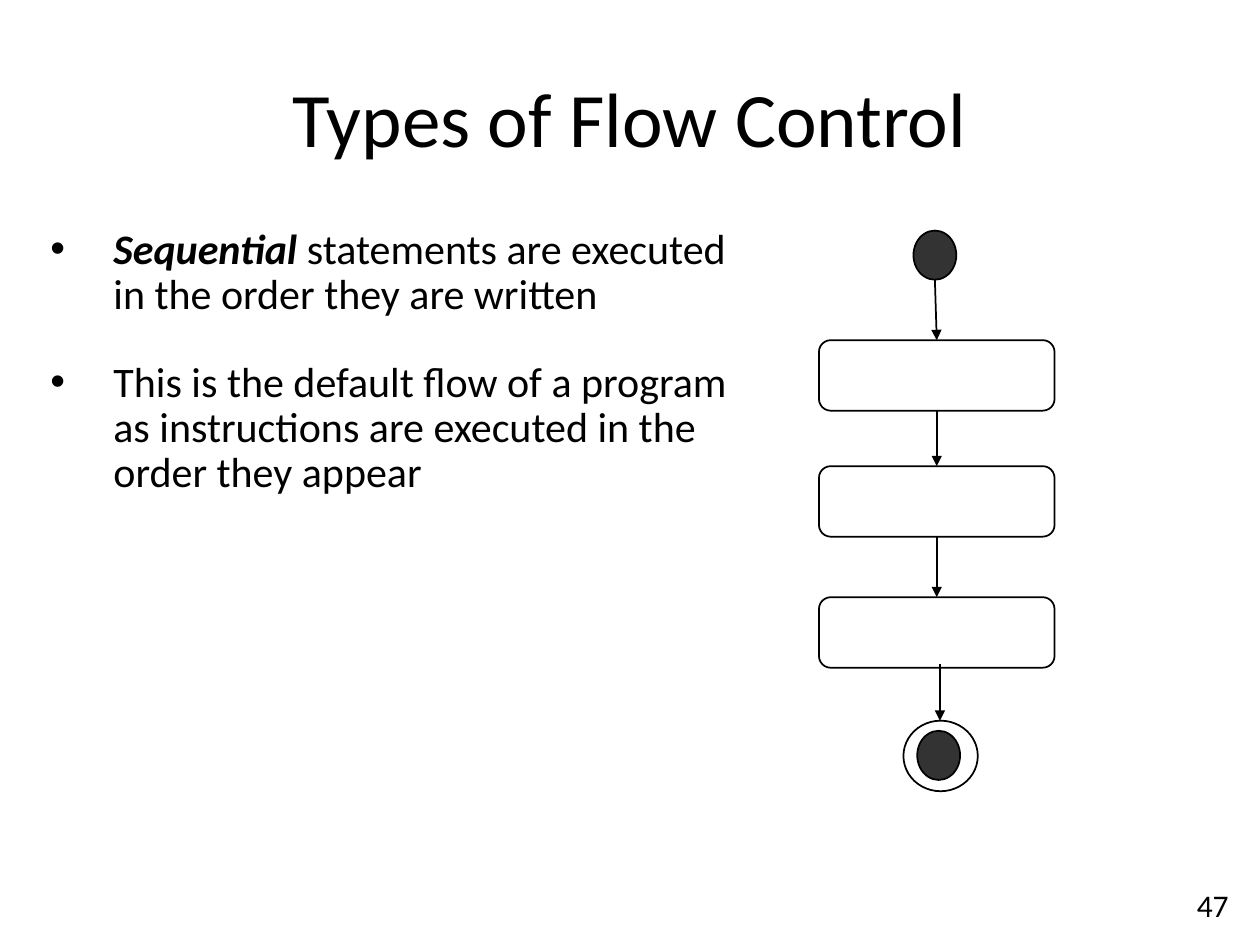
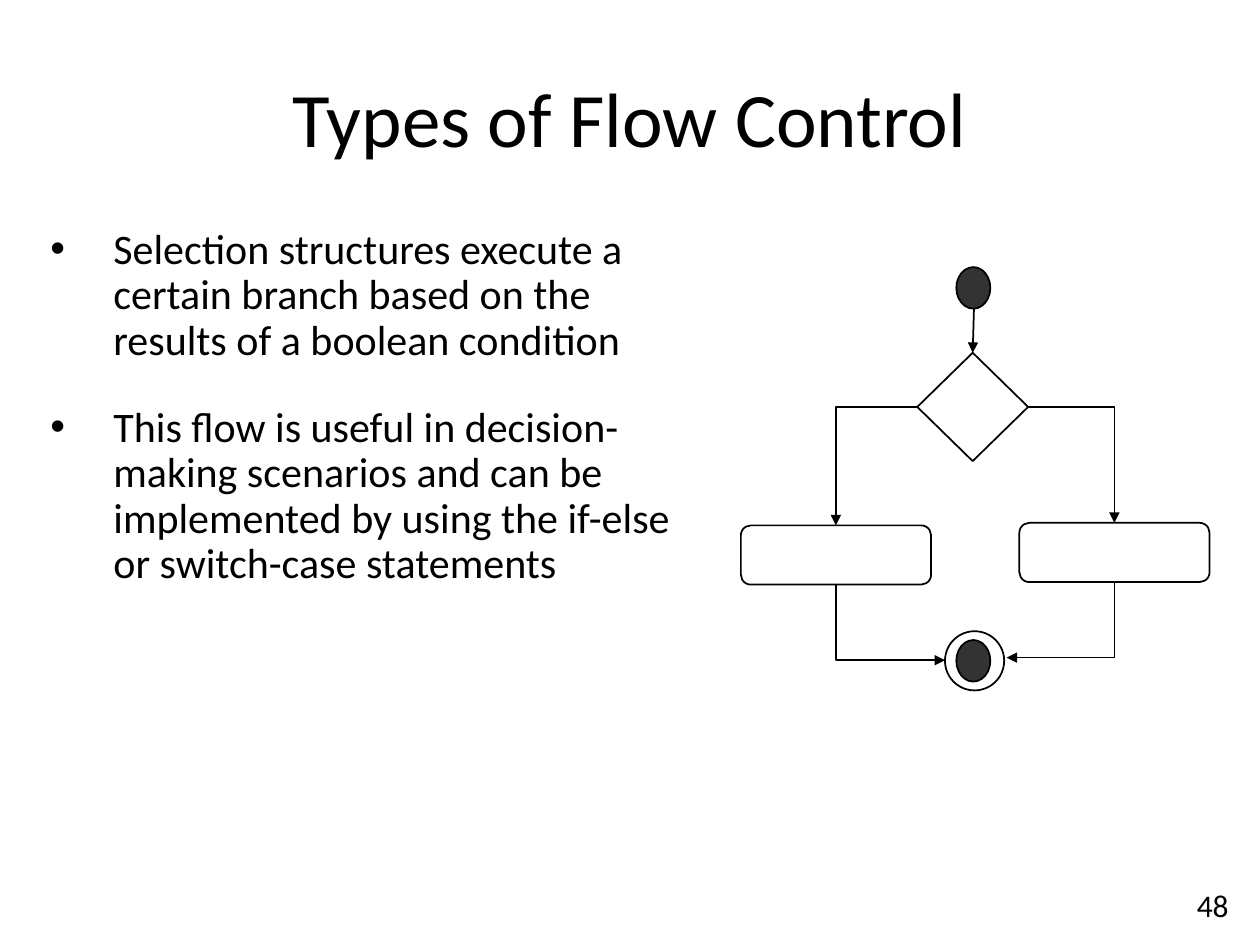
from dataclasses import dataclass
from itertools import pairwise

from lxml.etree import SubElement
from pptx import Presentation
from pptx.dml.color import RGBColor
from pptx.enum.shapes import MSO_CONNECTOR, MSO_SHAPE
from pptx.enum.text import MSO_ANCHOR, MSO_AUTO_SIZE, PP_ALIGN
from pptx.oxml.ns import qn
from pptx.util import Inches, Pt


@dataclass(frozen=True)
class Theme:
    """Colours, font and sizes shared by the slides."""
    font: str = "Calibri"
    ink: RGBColor = RGBColor(0x00, 0x00, 0x00)
    dot: RGBColor = RGBColor(0x33, 0x33, 0x33)
    title_size: int = 44
    body_size: int = 24
    number_size: int = 18
    line_width: int = 1


THEME = Theme()


def add_text(para, text, size=THEME.body_size, bold=False, italic=False, align=None):
    """Append a formatted span to a paragraph."""
    span = para.add_run()
    span.text = text
    span.font.name = THEME.font
    span.font.size = Pt(size)
    span.font.bold = bold
    span.font.italic = italic
    span.font.color.rgb = THEME.ink
    if align is not None:
        para.alignment = align


def place(shape, left, top, width, height):
    """Move and size a shape, in inches."""
    shape.left, shape.top = Inches(left), Inches(top)
    shape.width, shape.height = Inches(width), Inches(height)


def add_bullets(body, items):
    """Fill the body with bullets, each a list of (text, format) spans."""
    frame = body.text_frame
    frame.auto_size = MSO_AUTO_SIZE.NONE
    for index, spans in enumerate(items):
        para = frame.add_paragraph() if index else frame.paragraphs[0]
        para.line_spacing = 0.9
        para.space_before = Pt(THEME.body_size if index else 0)
        properties = para._p.get_or_add_pPr()
        properties.set("marL", str(Inches(0.5)))
        properties.set("indent", str(-Inches(0.5)))
        for text, style in spans:
            add_text(para, text, **style)


def add_page(deck, number, body_width, items):
    """Add a page with its title, bullets and page number."""
    page = deck.slides.add_slide(deck.slide_layouts[1])
    title, body = page.shapes.title, page.placeholders[1]
    place(title, 0.5, 0.3, 9, 1.25)
    title.text_frame.vertical_anchor = MSO_ANCHOR.MIDDLE
    add_text(title.text_frame.paragraphs[0], "Types of Flow Control",
             size=THEME.title_size, align=PP_ALIGN.CENTER)
    place(body, 0.3, 1.76, body_width, 5.03)
    add_bullets(body, items)
    box = page.shapes.add_textbox(Inches(8), Inches(7.08), Inches(1.85), Inches(0.3))
    box.text_frame.word_wrap = True
    box.text_frame.vertical_anchor = MSO_ANCHOR.BOTTOM
    add_text(box.text_frame.paragraphs[0], str(number),
             size=THEME.number_size, align=PP_ALIGN.RIGHT)
    return page


def add_node(page, kind, left, top, width, height, fill=None):
    """Add an outlined node of the flow chart."""
    node = page.shapes.add_shape(kind, Inches(left), Inches(top), Inches(width), Inches(height))
    node.shadow.inherit = False
    if fill is None:
        node.fill.background()
    else:
        node.fill.solid()
        node.fill.fore_color.rgb = fill
    node.line.color.rgb = THEME.ink
    node.line.width = Pt(THEME.line_width)
    return node


def add_step(page, left, top, width, height):
    """Add a rounded step box."""
    return add_node(page, MSO_SHAPE.ROUNDED_RECTANGLE, left, top, width, height)


def add_dot(page, left, top, width, height):
    """Add a dark start or end dot."""
    return add_node(page, MSO_SHAPE.FLOWCHART_CONNECTOR, left, top, width, height, THEME.dot)


def add_ring(page, left, top, width, height):
    """Add the ring around the end dot."""
    return add_node(page, MSO_SHAPE.FLOWCHART_CONNECTOR, left, top, width, height)


def add_arrow(page, start, end, kind=MSO_CONNECTOR.STRAIGHT, tip="tailEnd"):
    """Link two ends, each a point in inches or a (node, side) pair."""
    arrow = page.shapes.add_connector(kind, 0, 0, 0, 0)
    if hasattr(start[0], "shape_type"):
        arrow.begin_connect(*start)
    else:
        arrow.begin_x, arrow.begin_y = map(Inches, start)
    if hasattr(end[0], "shape_type"):
        arrow.end_connect(*end)
    else:
        arrow.end_x, arrow.end_y = map(Inches, end)
    arrow.line.color.rgb = THEME.ink
    arrow.line.width = Pt(THEME.line_width)
    properties = arrow._element.spPr
    SubElement(properties.find(qn("a:ln")), qn(f"a:{tip}"), type="triangle")
    SubElement(properties, qn("a:effectLst"))
    return arrow


def add_corner(page, start, end, tip="tailEnd"):
    """Link two ends by one bend, running level from the start."""
    arrow = add_arrow(page, start, end, MSO_CONNECTOR.ELBOW, tip)
    arrow._element.spPr.find(qn("a:prstGeom")).set("prst", "bentConnector2")


def draw_sequence(page):
    """Draw three steps in a row from start to end."""
    steps = [add_step(page, 6.5, top, 1.87, 0.56) for top in (2.7, 3.7, 4.74)]
    add_dot(page, 7.25, 1.83, 0.34, 0.39)
    add_arrow(page, (7.42, 2.22), (steps[0], 0))
    for upper, lower in pairwise(steps):
        add_arrow(page, (upper, 2), (lower, 0))
    add_arrow(page, (7.46, 5.27), (7.46, 5.72))
    add_dot(page, 7.28, 5.8, 0.34, 0.39)
    add_ring(page, 7.17, 5.72, 0.59, 0.56)


def draw_selection(page):
    """Draw a decision with two branches that meet at the end."""
    add_dot(page, 7.59, 5.08, 0.27, 0.33)
    add_ring(page, 7.5, 5.01, 0.47, 0.47)
    decision = add_node(page, MSO_SHAPE.DIAMOND, 7.28, 2.8, 0.88, 0.86)
    branches = ((1, 5.88, 4.17, (7.5, 5.24)), (3, 8.09, 4.15, (7.99, 5.22)))
    for side, left, top, finish in branches:
        step = add_step(page, left, top, 1.51, 0.47)
        add_corner(page, (decision, side), (step, 0))
        add_corner(page, finish, (step, 2), tip="headEnd")
    add_dot(page, 7.59, 2.12, 0.27, 0.33)
    add_arrow(page, (7.73, 2.45), (decision, 0))


def main():
    """Build and save the deck."""
    deck = Presentation()
    deck.slide_width, deck.slide_height = Inches(10), Inches(7.5)
    draw_sequence(add_page(deck, 47, 5.67, [
        [("Sequential ", {"bold": True, "italic": True}),
         ("statements are executed in the order they are written", {})],
        [("This is the default flow of a program as instructions are executed "
          "in the order they appear", {})],
    ]))
    draw_selection(add_page(deck, 48, 5.21, [
        [("Selection structures execute a certain branch based on the results "
          "of a boolean condition", {})],
        [("This flow is useful in decision-making scenarios and can be implemented "
          "by using the if-else or switch-case statements", {})],
    ]))
    deck.save("out.pptx")


if __name__ == "__main__":
    main()
